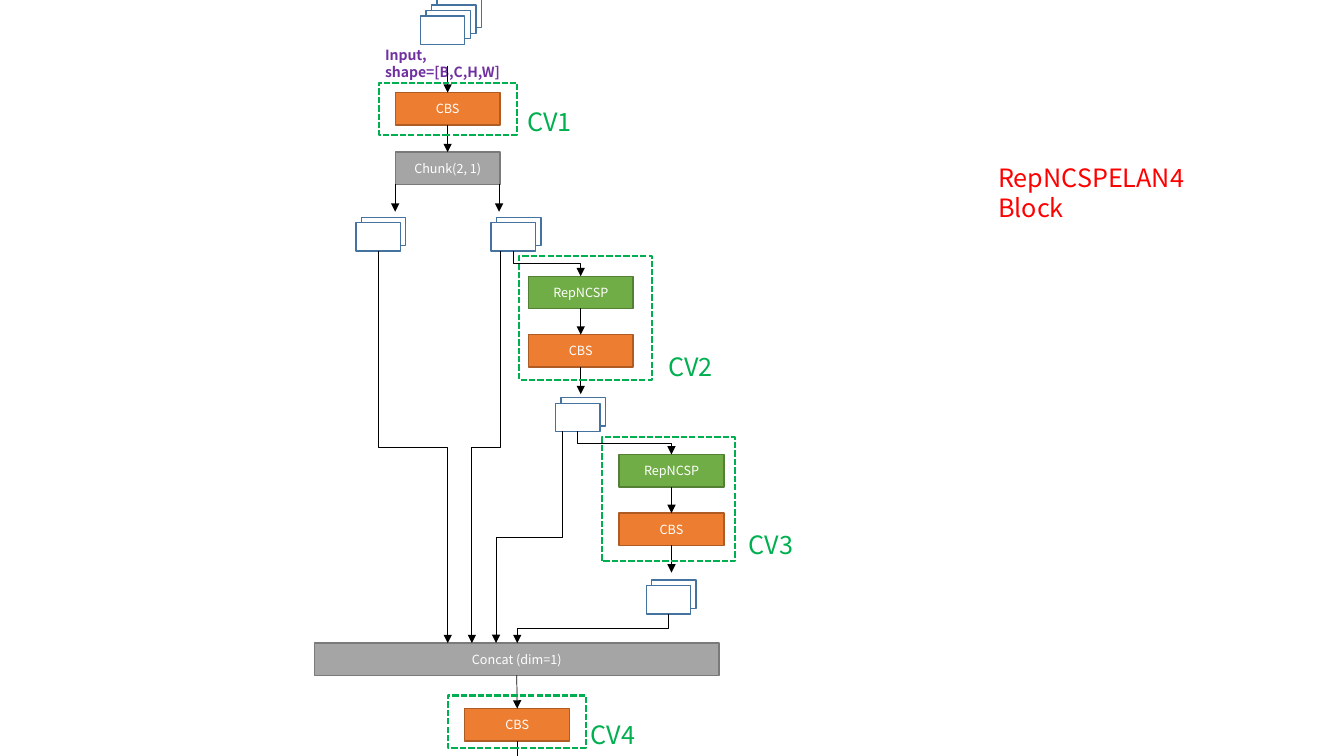
from pptx import Presentation
from pptx.dml.color import RGBColor
from pptx.enum.dml import MSO_LINE
from pptx.enum.shapes import MSO_CONNECTOR, MSO_SHAPE
from pptx.enum.text import MSO_ANCHOR, MSO_AUTO_SIZE, PP_ALIGN
from pptx.oxml.ns import qn
from pptx.util import Inches, Pt
from lxml.etree import SubElement

FONT = "Noto Sans CJK SC"
COLORS = {
    "white": "FFFFFF", "black": "000000", "red": "FF0000", "purple": "7030A0",
    "stage": "00B050", "map_line": "43739E",
    "orange": "ED7D31", "orange_line": "AF5C24",
    "gray": "A5A5A5", "gray_line": "7A7A7A",
    "green": "70AD47", "green_line": "538035",
}
BLOCK_WIDTH, BLOCK_HEIGHT = 1.04, 0.32
MAP_WIDTH, MAP_HEIGHT, MAP_OFFSET = 0.44, 0.28, 0.055
TOP, BOTTOM = 0, 2


def color(name):
    return RGBColor.from_string(COLORS[name])


def write(shape, text, size, color_name, align=PP_ALIGN.LEFT,
          anchor=MSO_ANCHOR.TOP, bold=False, wrap=True):
    frame = shape.text_frame
    frame.text = text
    frame.word_wrap = wrap
    frame.auto_size = MSO_AUTO_SIZE.NONE
    frame.vertical_anchor = anchor
    paragraph = frame.paragraphs[0]
    paragraph.alignment = align
    paragraph.font.name = FONT
    paragraph.font.size = Pt(size)
    paragraph.font.bold = bold
    paragraph.font.color.rgb = color(color_name)


def add_rectangle(shapes, left, top, width, height, fill, line, weight=1):
    shape = shapes.add_shape(MSO_SHAPE.RECTANGLE, Inches(left), Inches(top),
                             Inches(width), Inches(height))
    shape.shadow.inherit = False
    if fill:
        shape.fill.solid()
        shape.fill.fore_color.rgb = color(fill)
    else:
        shape.fill.background()
    shape.line.color.rgb = color(line)
    shape.line.width = Pt(weight)
    return shape


def add_block(slide, text, left, top, fill, width=BLOCK_WIDTH):
    block = add_rectangle(slide.shapes, left, top, width, BLOCK_HEIGHT,
                          fill, fill + "_line")
    write(block, text, 9, "white", PP_ALIGN.CENTER, MSO_ANCHOR.MIDDLE)
    return block


def add_feature_maps(slide, left, top, count=2):
    """Stack sheets up and to the right; left and top place the front sheet."""
    group = slide.shapes.add_group_shape()
    for depth in reversed(range(count)):
        shift = depth * MAP_OFFSET
        add_rectangle(group.shapes, left + shift, top - shift,
                      MAP_WIDTH, MAP_HEIGHT, "white", "map_line")


def add_label(slide, text, left, top, width, height, size, color_name, **options):
    box = slide.shapes.add_textbox(Inches(left), Inches(top),
                                   Inches(width), Inches(height))
    write(box, text, size, color_name, **options)


def add_stage(slide, name, frame, label_left, label_top):
    outline = add_rectangle(slide.shapes, *frame, None, "stage", 1.5)
    outline.line.dash_style = MSO_LINE.SQUARE_DOT
    add_label(slide, name, label_left, label_top, 0.65, 0.4, 18, "stage", wrap=False)


def style_arrow(connector):
    connector.line.color.rgb = color("black")
    connector.line.width = Pt(0.5)
    properties = connector.element.spPr
    SubElement(properties.find(qn("a:ln")), qn("a:tailEnd"), type="triangle")
    SubElement(properties, qn("a:effectLst"))


def add_arrow(slide, x, start, end, source=None, target=None):
    """Draw a vertical arrow, joined to the blocks that are given."""
    connector = slide.shapes.add_connector(
        MSO_CONNECTOR.STRAIGHT, Inches(x), Inches(start), Inches(x), Inches(end))
    if source:
        connector.begin_connect(source, BOTTOM)
    if target:
        connector.end_connect(target, TOP)
    style_arrow(connector)


def add_elbow(slide, x1, y1, x2, y2):
    """Draw a bent arrow that leaves and arrives vertically."""
    middle_x, middle_y = (x1 + x2) / 2, (y1 + y2) / 2
    half_length, half_height = (y2 - y1) / 2, abs(x2 - x1) / 2
    connector = slide.shapes.add_connector(
        MSO_CONNECTOR.ELBOW,
        Inches(middle_x - half_length), Inches(middle_y - half_height),
        Inches(middle_x + half_length), Inches(middle_y + half_height))
    transform = connector.element.spPr.find(qn("a:xfrm"))
    if x2 < x1:
        transform.set("rot", "5400000")
    else:
        transform.set("rot", "16200000")
        transform.set("flipH", "1")
    style_arrow(connector)


def add_branch(slide, name, left, top, frame, label_left, label_top):
    """Add a RepNCSP and CBS pair with its stage outline and output arrow."""
    center = left + BLOCK_WIDTH / 2
    rep = add_block(slide, "RepNCSP", left, top, "green")
    cbs = add_block(slide, "CBS", left, top + 0.58, "orange")
    add_arrow(slide, center, top + 0.32, top + 0.58, rep, cbs)
    add_arrow(slide, center, top + 0.9, top + 1.17, cbs)
    add_stage(slide, name, frame, label_left, label_top)


def main():
    presentation = Presentation()
    presentation.slide_width = Inches(13.33)
    presentation.slide_height = Inches(7.5)
    slide = presentation.slides.add_slide(presentation.slide_layouts[5])

    title = slide.shapes.title
    title.left, title.top = Inches(9.8), Inches(1.56)
    title.width, title.height = Inches(2.6), Inches(0.4)
    write(title, "RepNCSPELAN4 Block", 18, "red")

    add_feature_maps(slide, 4.17, 0.16, 4)
    add_label(slide, "Input, shape=[B,C,H,W]", 3.72, 0.41, 1.69, 0.27,
              10, "purple", bold=True)
    first_cbs = add_block(slide, "CBS", 3.92, 0.92, "orange")
    chunk = add_block(slide, "Chunk(2, 1)", 3.92, 1.51, "gray")
    add_arrow(slide, 4.44, 0.65, 0.92, target=first_cbs)
    add_arrow(slide, 4.44, 1.24, 1.51, first_cbs, chunk)
    add_stage(slide, "CV1", (3.76, 0.82, 1.37, 0.52), 5.13, 1.01)

    for x in (3.92, 4.95):
        add_arrow(slide, x, 1.83, 2.1)
    for left, top in ((3.53, 2.21), (4.87, 2.21), (5.51, 4), (6.41, 5.81)):
        add_feature_maps(slide, left, top)

    add_branch(slide, "CV2", 5.24, 2.74, (5.15, 2.54, 1.32, 1.23), 6.53, 3.44)
    add_branch(slide, "CV3", 6.14, 4.51, (5.97, 4.34, 1.32, 1.23), 7.33, 5.2)

    concat = add_block(slide, "Concat (dim=1)", 3.12, 6.38, "gray", 4.01)
    for route in (
        (5.09, 2.49, 5.76, 2.74),
        (5.73, 4.28, 6.66, 4.51),
        (3.75, 2.49, 4.44, 6.38),
        (4.96, 2.49, 4.68, 6.38),
        (5.58, 4.28, 4.92, 6.38),
        (6.63, 6.09, 5.13, 6.38),
    ):
        add_elbow(slide, *route)

    last_cbs = add_block(slide, "CBS", 4.61, 7.03, "orange")
    add_arrow(slide, 5.13, 6.7, 7.03, concat, last_cbs)
    add_arrow(slide, 5.13, 7.35, 7.67, last_cbs)
    add_stage(slide, "CV4", (4.44, 6.9, 1.37, 0.52), 5.76, 7.09)

    presentation.save("out.pptx")


if __name__ == "__main__":
    main()
